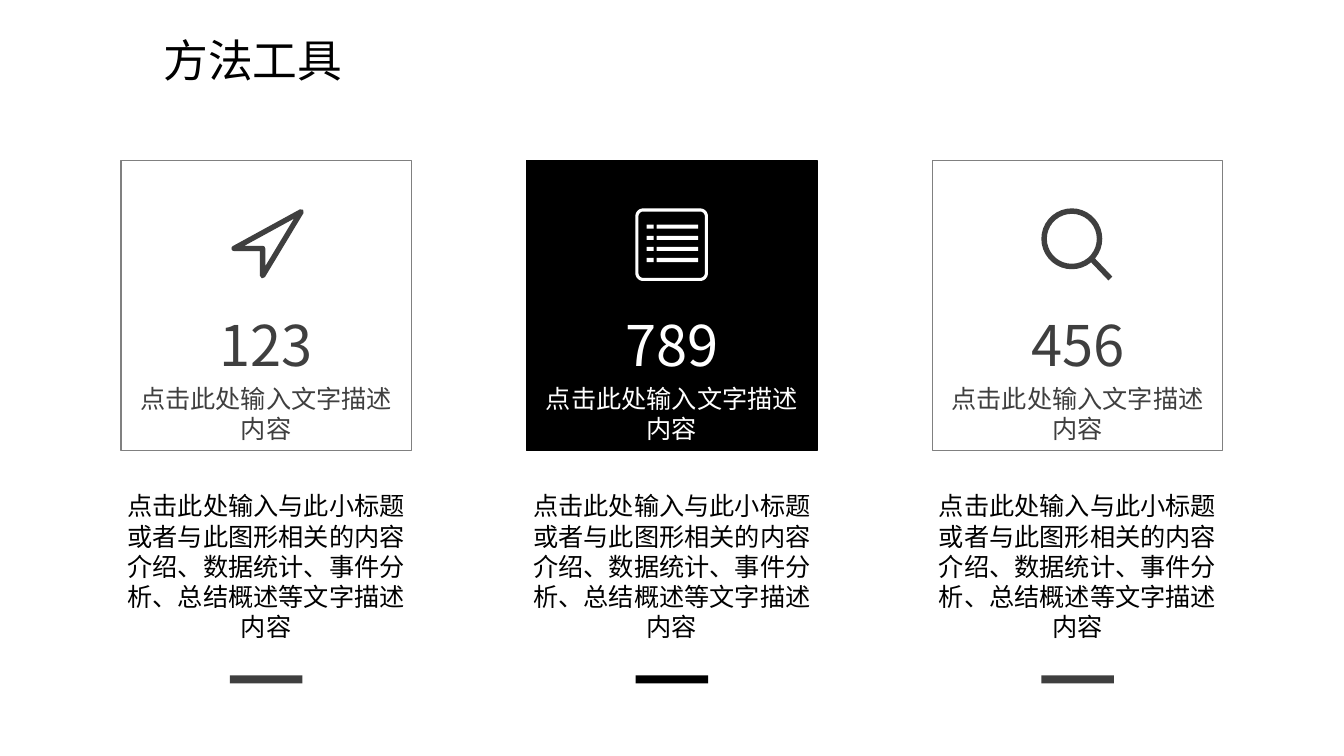
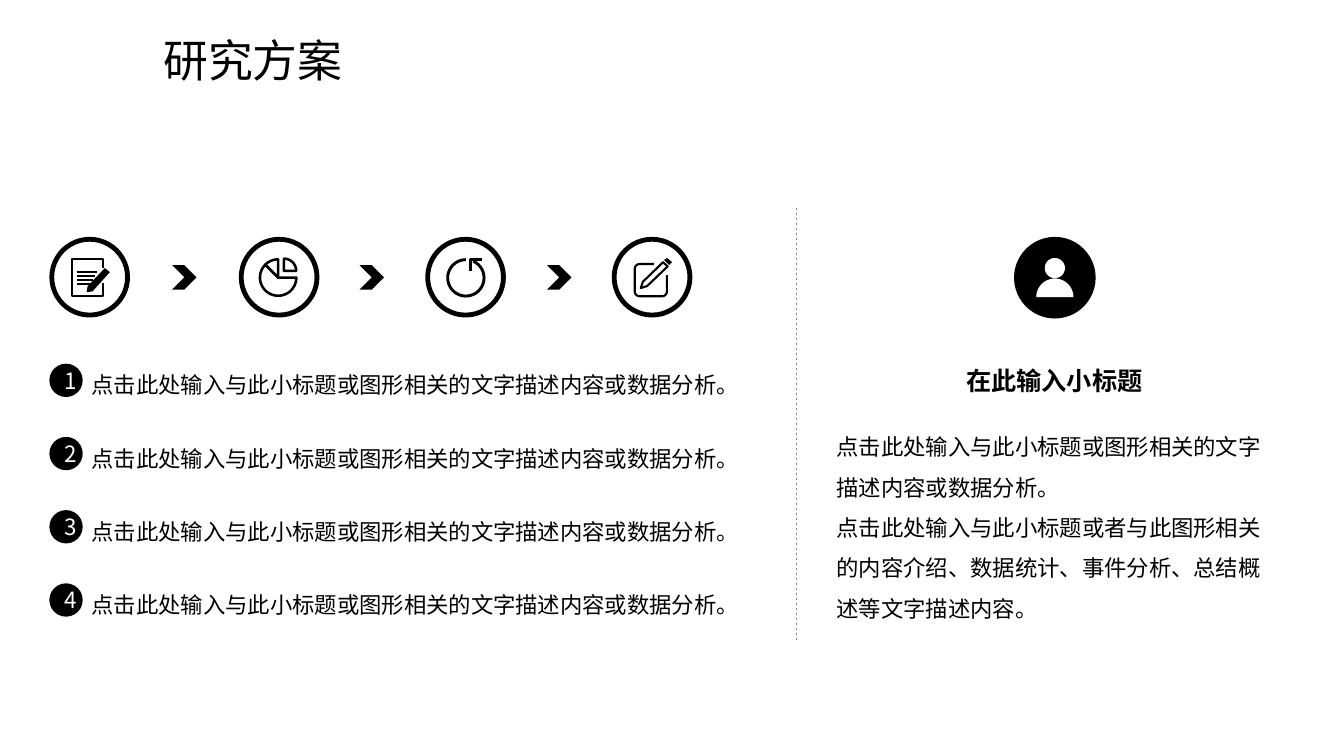
"""Build two slides: a row of method cards and a research plan."""
import math

from pptx import Presentation
from pptx.dml.color import RGBColor
from pptx.enum import dml, shapes, text
from pptx.oxml.ns import qn
from pptx.util import Pt
from lxml import etree

FONT = "Noto Sans CJK SC"
COLORS = {"black": "000000", "white": "FFFFFF", "dark": "3F3F3F", "gray": "808080"}
LEFT, CENTER = text.PP_ALIGN.LEFT, text.PP_ALIGN.CENTER
KIND = shapes.MSO_SHAPE
TITLE_BOX = (109.4, 19.4, 560.2, 46.1)

CARD_CAPTION = "点击此处输入文字描述内容"
CARD_DETAIL = "点击此处输入与此小标题或者与此图形相关的内容介绍、数据统计、事件分析、总结概述等文字描述内容"
STEP_TEXT = "点击此处输入与此小标题或图形相关的文字描述内容或数据分析。"
SUBTITLE = "在此输入小标题"
SUMMARY = [STEP_TEXT, CARD_DETAIL + "。"]
STEP_COUNT = 4
CARDS = [
    {"number": "123", "icon": "arrow", "ink": "dark",
     "fill": None, "line": "gray", "bar": "dark"},
    {"number": "789", "icon": "list", "ink": "white",
     "fill": "black", "line": "black", "bar": "black"},
    {"number": "456", "icon": "magnifier", "ink": "dark",
     "fill": None, "line": "gray", "bar": "dark"},
]
STAGES = [("note", 35.3), ("pie", 170.6), ("refresh", 303.8), ("pencil", 437)]


def arc(x, y, radius, start, end):
    """Points on a circle from one angle to another."""
    count = 36
    angles = [math.radians(start + (end - start) * i / count) for i in range(count + 1)]
    return [(x + radius * math.cos(a), y + radius * math.sin(a)) for a in angles]


def loop(*corners):
    """A closed line through some corners."""
    return [*corners, corners[0]]


def wedge(x, y, radius, start, end):
    """Outline of a pie slice."""
    return loop((x, y), *arc(x, y, radius, start, end))


def bar(x, y, width, height):
    """Outline of a rectangle."""
    return loop((x, y), (x + width, y), (x + width, y + height), (x, y + height))


def round_box(x, y, size, radius, corners=4):
    """Rounded corners of a square, clockwise from the lower right."""
    far = size - radius
    centers = [(far, far), (radius, far), (radius, radius), (far, radius)]
    return [point for i, (cx, cy) in enumerate(centers[:corners])
            for point in arc(x + cx, y + cy, radius, 90 * i, 90 * i + 90)]


ICONS = {
    "arrow": {"width": 3.8,
              "strokes": [loop((51, 2.2), (3, 28.5), (23.4, 28.5), (23.4, 48))]},
    "list": {"width": 2.2, "strokes": [loop(*round_box(1, 1, 49.6, 4.5))],
             "fills": [bar(x, 11.5 + 7.92 * i, width, 2.9)
                       for i in range(4) for x, width in ((7.9, 5), (15.1, 29.5))]},
    "magnifier": {"width": 3.9, "strokes": [arc(21.8, 21.6, 19.8, 0, 360),
                                            [(36, 36), (49.3, 50)]]},
    "note": {"width": 1.4,
             "strokes": [[(23, 7), (23, 1), (1, 1), (1, 27.4), (23, 27.4), (23, 18)]]
             + [[(4.3, 9.9 + 2.8 * i), (19 - 1.6 * i, 9.9 + 2.8 * i)] for i in range(4)],
             "fills": [loop((24.5, 7.2), (28.1, 10.1), (15.8, 23.8),
                            (11.5, 24.5), (12.2, 20.2))]},
    "pie": {"width": 1.8, "strokes": [wedge(14.2, 14, 13, 0, 225),
                                      wedge(14.2, 14, 13, 225, 270),
                                      wedge(18.3, 9.3, 8.8, 270, 360)]},
    "refresh": {"width": 2.1, "strokes": [arc(14.2, 14.2, 13, -66, 270),
                                          [(17.6, 9.4), (17.6, 1), (25.9, 1)]]},
    "pencil": {"width": 1.5,
               "strokes": [[(23.7, 12.2), *round_box(0.7, 4.3, 23, 3.5, 3), (14.4, 4.3)],
                           loop((20.9, 3), (24.2, 6), (9.6, 20), (5, 21.5), (6.5, 17))],
               "fills": [loop((23.8, 0), (27.4, 3), (25.2, 5), (21.6, 1.4))]},
    "person": {"fills": [arc(13.3, 7.2, 7.2, 0, 360), wedge(13.3, 28, 13.3, 180, 360)]},
}


def color(name):
    """Look up a colour of the palette."""
    return RGBColor.from_string(COLORS[name])


def points(values):
    """Turn numbers into lengths."""
    return [Pt(value) for value in values]


def paint(shape, fill=None, line=None, width=1):
    """Set fill and outline and drop the shadow."""
    shape.shadow.inherit = False
    if fill:
        shape.fill.solid()
        shape.fill.fore_color.rgb = color(fill)
    else:
        shape.fill.background()
    if line:
        shape.line.color.rgb = color(line)
        shape.line.width = Pt(width)
    else:
        shape.line.fill.background()


def write(frame, lines, size, ink="black", align=LEFT, spacing=None, bold=False):
    """Fill a text frame, one paragraph a line."""
    for index, line in enumerate(lines):
        paragraph = frame.add_paragraph() if index else frame.paragraphs[0]
        paragraph.alignment = align
        if spacing:
            paragraph.line_spacing = spacing
        run = paragraph.add_run()
        run.text = line
        run.font.size = Pt(size)
        run.font.bold = bold
        run.font.color.rgb = color(ink)
        run.font.name = FONT
        east_asian = etree.SubElement(run._r.get_or_add_rPr(), qn("a:ea"))
        east_asian.set("typeface", FONT)


def add_text(slide, place, lines, size, side_margin=0, **style):
    """Add a wrapping text box."""
    frame = slide.shapes.add_textbox(*points(place)).text_frame
    frame.word_wrap = True
    frame.auto_size = text.MSO_AUTO_SIZE.SHAPE_TO_FIT_TEXT
    frame.margin_left = frame.margin_right = Pt(side_margin)
    write(frame, lines, size, **style)


def add_preset(slide, kind, place, fill=None, line=None):
    """Add a painted preset shape."""
    shape = slide.shapes.add_shape(kind, *points(place))
    paint(shape, fill, line)
    return shape


def add_outline(slide, contours, left, top):
    """Add one freeform made of several contours."""
    placed = [[points((left + x, top + y)) for x, y in contour] for contour in contours]
    builder = slide.shapes.build_freeform(*placed[0][0])
    for index, contour in enumerate(placed):
        if index:
            builder.move_to(*contour[0])
        builder.add_line_segments(contour[1:], close=contour[0] == contour[-1])
    return builder.convert_to_shape()


def add_icon(slide, name, left, top, ink):
    """Draw the stroked and the filled parts of an icon."""
    icon = ICONS[name]
    if "strokes" in icon:
        outline = add_outline(slide, icon["strokes"], left, top)
        paint(outline, line=ink, width=icon["width"])
    if "fills" in icon:
        paint(add_outline(slide, icon["fills"], left, top), ink)


def add_slide(presentation, heading):
    """Add a slide with the shared title."""
    slide = presentation.slides.add_slide(presentation.slide_layouts[5])
    title = slide.shapes.title
    title.left, title.top, title.width, title.height = points(TITLE_BOX)
    frame = title.text_frame
    frame.auto_size = text.MSO_AUTO_SIZE.SHAPE_TO_FIT_TEXT
    frame.vertical_anchor = text.MSO_ANCHOR.MIDDLE
    write(frame, [heading], 32)
    return slide


def build_methods(presentation):
    """Three cards with an icon, a number and a description."""
    slide = add_slide(presentation, "方法工具")
    side, accent = 207.4, 51.8
    for index, card in enumerate(CARDS):
        left = 86.4 + 289.8 * index
        inner_left = left + (side - accent) / 2
        style = {"ink": card["ink"], "align": CENTER, "side_margin": 7.2}
        add_preset(slide, KIND.RECTANGLE, (left, 114.5, side, side),
                   card["fill"], card["line"])
        add_icon(slide, card["icon"], inner_left, 149, card["ink"])
        add_text(slide, (left, 218.2, side, 55.4), [card["number"]], 40, **style)
        add_text(slide, (left, 270, side, 51), [CARD_CAPTION], 18, **style)
        add_text(slide, (left, 347, side, 116.6), [CARD_DETAIL], 18, align=CENTER)
        add_preset(slide, KIND.RECTANGLE, (inner_left, 482.4, accent, 5.8), card["bar"])


def build_plan(presentation):
    """Four stages with numbered notes, and a summary at the right."""
    slide = add_slide(presentation, "研究方案")
    ring_top, icon_top = 169.2, 184.3
    for index, (icon, left) in enumerate(STAGES):
        add_icon(slide, icon, 50.4 + 134.1 * index, icon_top, "black")
        ring = add_preset(slide, KIND.DONUT, (left, ring_top, 57.6, 57.6), "black")
        ring.adjustments[0] = 0.06
    for index in range(len(STAGES) - 1):
        add_preset(slide, KIND.CHEVRON,
                   (123 + 133.9 * index, 189.4, 17.4, 17.4), "black")

    for index in range(STEP_COUNT):
        top = 259.8 + 52.3 * index
        badge = add_preset(slide, KIND.OVAL, (35.3, top, 23.8, 23.8), "black")
        badge.text_frame.vertical_anchor = text.MSO_ANCHOR.MIDDLE
        write(badge.text_frame, [str(index + 1)], 16, ink="white", align=CENTER)
        add_text(slide, (65.5, top - 2.7, 480.2, 29.5), [STEP_TEXT], 16, spacing=1.25)

    divider = slide.shapes.add_connector(
        shapes.MSO_CONNECTOR.STRAIGHT, *points((568.8, 148.3, 568.8, 457.2)))
    divider.line.color.rgb = color("gray")
    divider.line.width = Pt(0.5)
    divider.line.dash_style = dml.MSO_LINE.DASH
    etree.SubElement(divider._element.spPr, qn("a:effectLst"))

    add_preset(slide, KIND.OVAL, (724.3, ring_top, 58.3, 58.3), "black")
    add_icon(slide, "person", 740.2, icon_top, "white")
    add_text(slide, (597.6, 252, 311, 32.4), [SUBTITLE], 18,
             align=CENTER, spacing=1.25, bold=True)
    add_text(slide, (597.6, 296.6, 311, 152.6), SUMMARY, 16, spacing=1.5)


def main():
    """Build and save the presentation."""
    presentation = Presentation()
    presentation.slide_width, presentation.slide_height = Pt(960), Pt(540)
    build_methods(presentation)
    build_plan(presentation)
    presentation.save("out.pptx")


if __name__ == "__main__":
    main()
